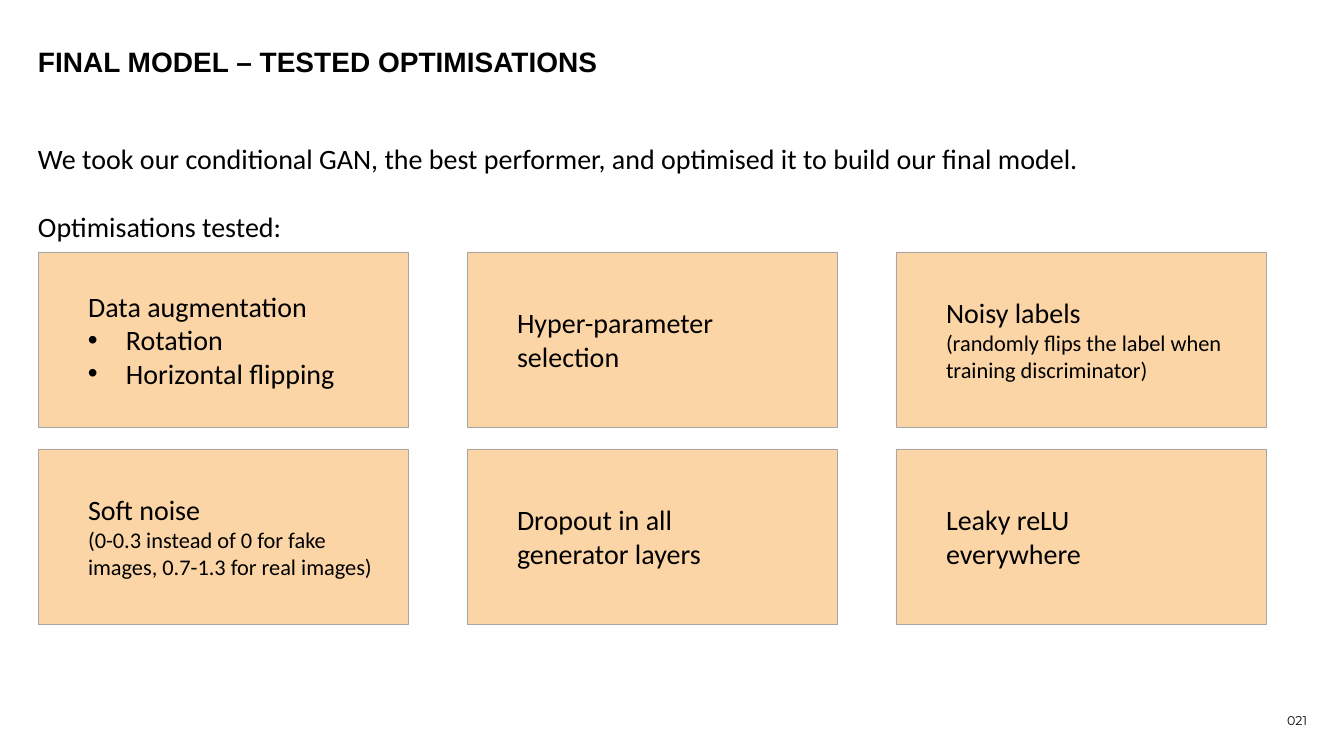
from dataclasses import dataclass

from lxml.etree import SubElement
from pptx import Presentation
from pptx.dml.color import RGBColor
from pptx.enum.shapes import MSO_SHAPE
from pptx.enum.text import MSO_ANCHOR, PP_ALIGN
from pptx.oxml.ns import qn
from pptx.util import Emu, Pt

TITLE = "FINAL MODEL – TESTED OPTIMISATIONS"
INTRO = [
    "We took our conditional GAN, the best performer, and optimised it to build our final model.",
    "Optimisations tested:",
]
PAGE = "021"
# heading, small note, bullets
CARDS = [
    ("Data augmentation", "", ["Rotation", "Horizontal flipping"]),
    ("Hyper-parameter\vselection", "", []),
    ("Noisy labels", "(randomly flips the label when training discriminator)", []),
    ("Soft noise", "(0-0.3 instead of 0 for fake images, 0.7-1.3 for real images)", []),
    ("Dropout in all\vgenerator layers", "", []),
    ("Leaky reLU\veverywhere", "", []),
]


@dataclass(frozen=True)
class Theme:
    text: RGBColor = RGBColor(0, 0, 0)
    card: RGBColor = RGBColor(0xFC, 0xD5, 0xA7)
    border: RGBColor = RGBColor(0xA6, 0xA6, 0xA6)
    title_font: str = "Arial"
    body_font: str = "Calibri"
    page_font: str = "Montserrat"
    main: int = 20
    note: int = 16
    page: int = 9


T = Theme()
COLUMNS = 3
LEFT, CARD_TOP = 38, 252
CARD_W, CARD_H = 370, 175
PITCH_X, PITCH_Y = 429, 197
INDENT, HANG = 50, 38


def px(n):
    return Emu(round(n * 914400 / 100.8))


def style(runs, font, size, bold=False):
    for r in runs:
        r.font.name, r.font.size, r.font.bold = font, Pt(size), bold
        r.font.color.rgb = T.text


def prepare(tf, anchor, right=0, vertical=0):
    tf.word_wrap = True
    tf.vertical_anchor = anchor
    tf.margin_left, tf.margin_right = 0, px(right)
    tf.margin_top = tf.margin_bottom = px(vertical)
    return tf


def add_text(s, box, lines, font, size, anchor=MSO_ANCHOR.TOP, vertical=0,
             bold=False, align=PP_ALIGN.LEFT, gap=0):
    tf = prepare(s.shapes.add_textbox(*map(px, box)).text_frame, anchor, vertical=vertical)
    tf.text = "\n".join(lines)
    for i, p in enumerate(tf.paragraphs):
        p.alignment = align
        if i and gap:
            p.space_before = Pt(gap)
        style(p.runs, font, size, bold)


def indent(p, bullet=False):
    p.alignment = PP_ALIGN.LEFT
    p.level = 1
    pPr = p._p.get_or_add_pPr()
    pPr.set("marL", str(px(INDENT + HANG * bullet)))
    pPr.set("indent", str(-px(HANG * bullet)))
    if bullet:
        SubElement(pPr, qn("a:buFont")).set("typeface", "Arial")
        SubElement(pPr, qn("a:buChar")).set("char", "•")


def add_card(s, x, y, heading, note, bullets):
    sp = s.shapes.add_shape(MSO_SHAPE.RECTANGLE, px(x), px(y), px(CARD_W), px(CARD_H))
    sp.shadow.inherit = False
    sp.fill.solid()
    sp.fill.fore_color.rgb = T.card
    sp.line.color.rgb = T.border
    sp.line.width = Pt(0.5)
    tf = prepare(sp.text_frame, MSO_ANCHOR.MIDDLE, right=12)
    first = f"{heading}\v{note}" if note else heading
    tf.text = "\n".join([first, *bullets])
    for i, p in enumerate(tf.paragraphs):
        indent(p, bullet=i > 0)
        style(p.runs, T.body_font, T.main)
    if note:
        tf.paragraphs[0].runs[-1].font.size = Pt(T.note)


def main():
    prs = Presentation()
    prs.slide_width, prs.slide_height = px(1344), px(756)
    s = prs.slides.add_slide(prs.slide_layouts[6])

    add_text(s, (1243, 708, 64, 25), [PAGE], T.page_font, T.page,
             anchor=MSO_ANCHOR.MIDDLE, align=PP_ALIGN.RIGHT)
    for i, card in enumerate(CARDS):
        row, col = divmod(i, COLUMNS)
        add_card(s, LEFT + col * PITCH_X, CARD_TOP + row * PITCH_Y, *card)
    add_text(s, (LEFT, 40, 1268, 90), [TITLE], T.title_font, T.main, vertical=5, bold=True)
    add_text(s, (LEFT, 142, 1268, 62), INTRO, T.body_font, T.main, gap=24)

    prs.save("out.pptx")


if __name__ == "__main__":
    main()
